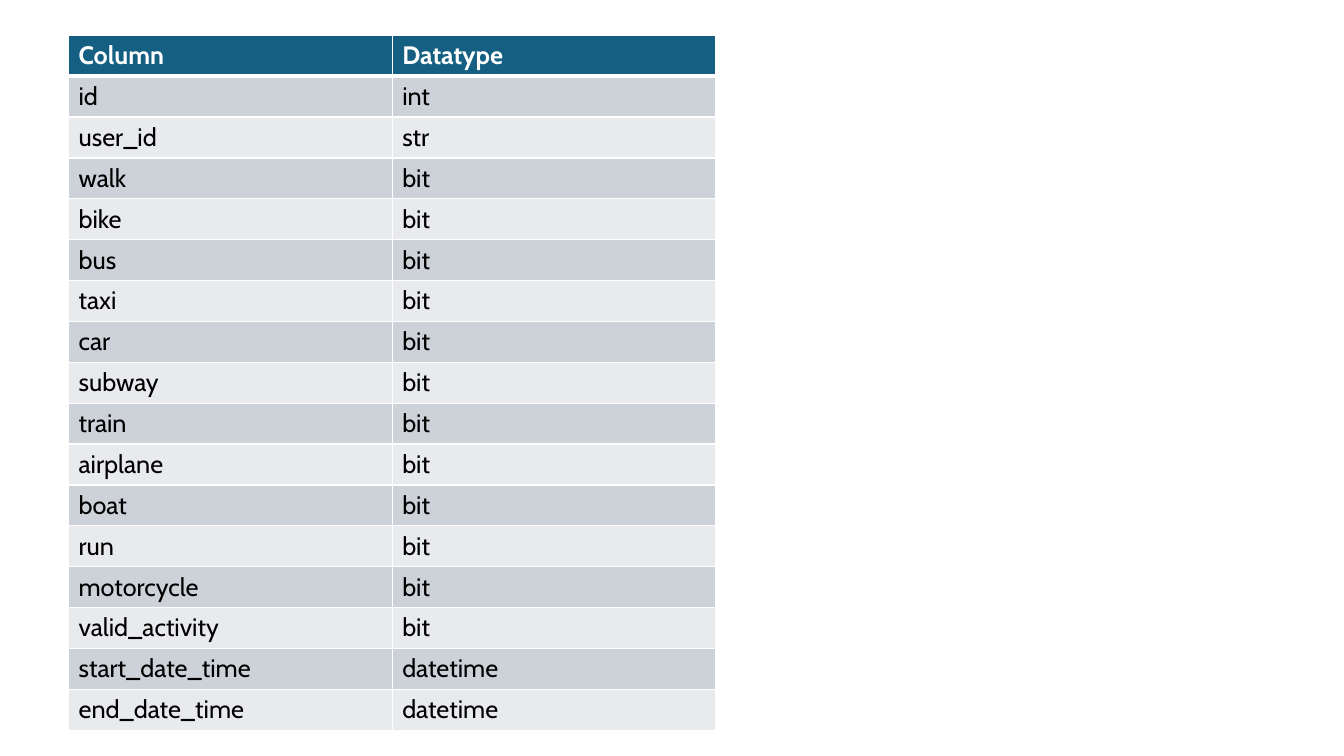
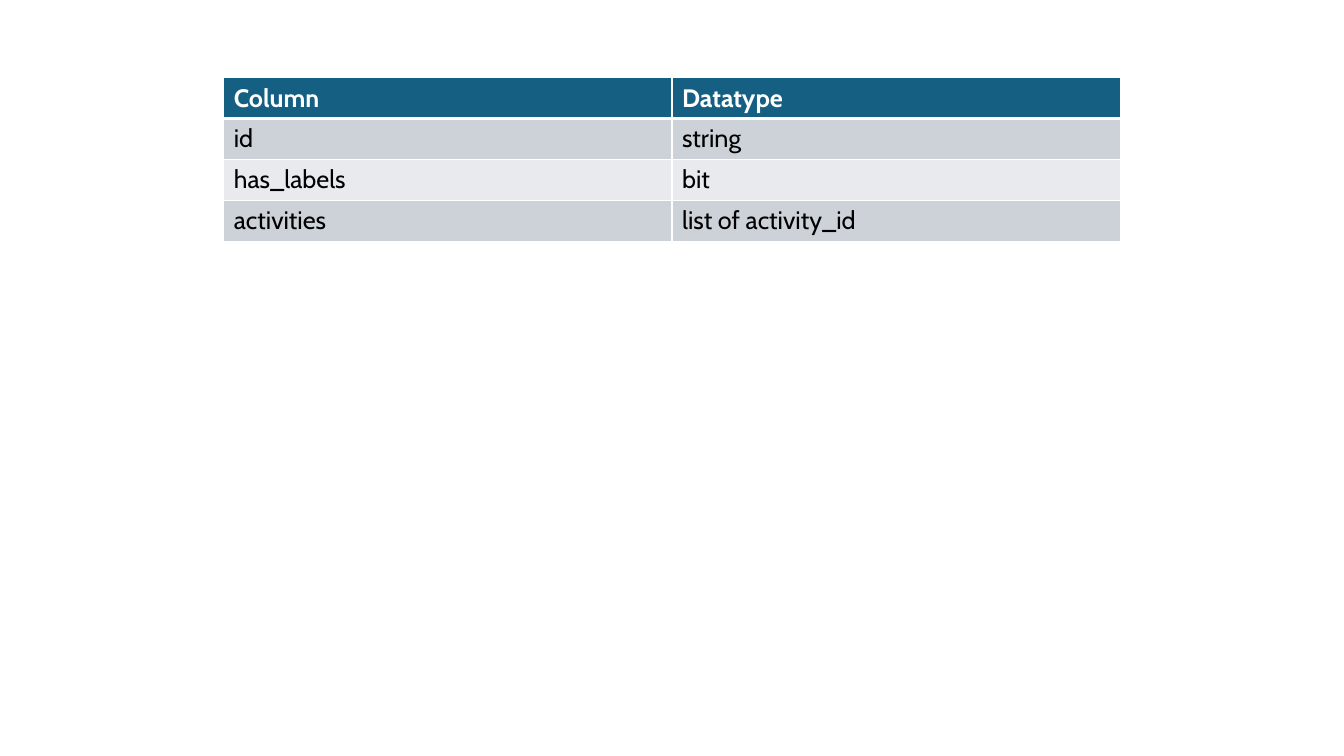
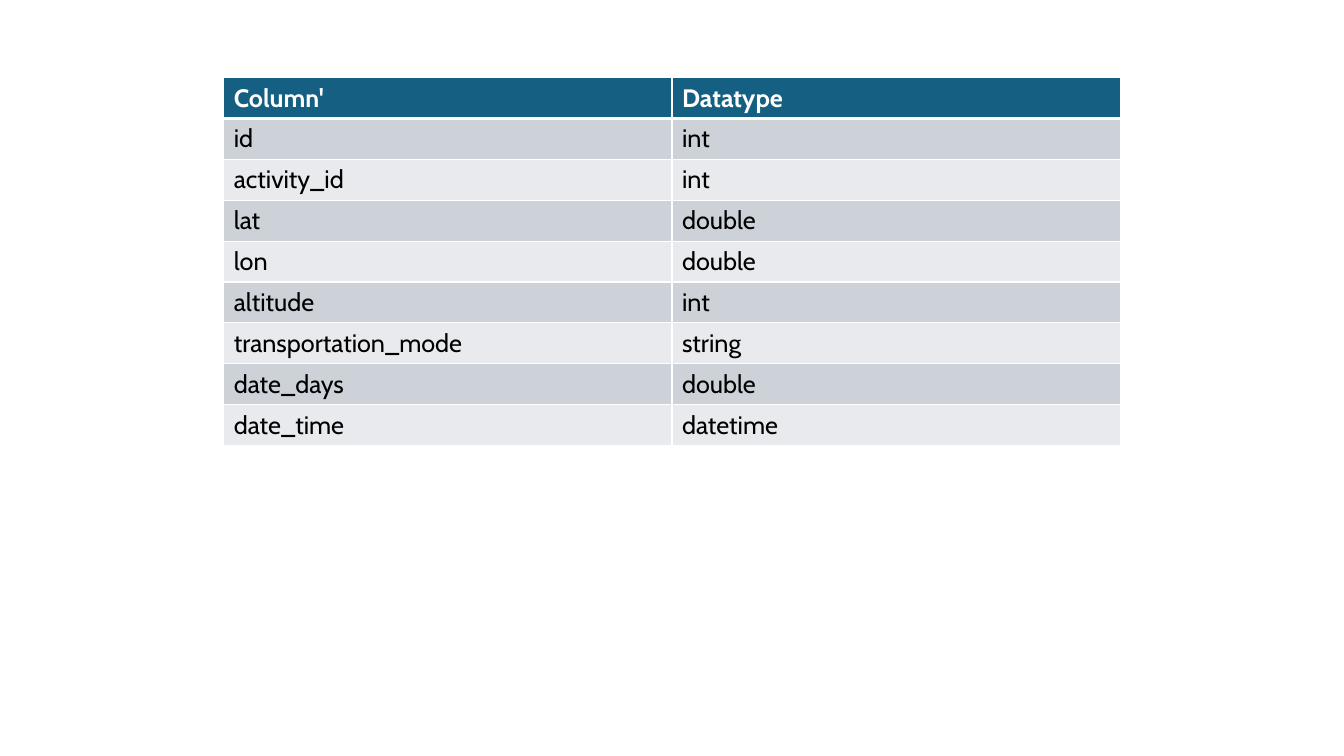
"""Builds three slides that each show the columns of a database table."""
import lxml.etree
import pptx
import pptx.dml.color
import pptx.oxml.ns
import pptx.util

Inches = pptx.util.Inches
Pt = pptx.util.Pt
RGBColor = pptx.dml.color.RGBColor

WHITE = RGBColor(0xFF, 0xFF, 0xFF)
BLACK = RGBColor(0x00, 0x00, 0x00)
HEADER_BLUE = RGBColor(0x15, 0x60, 0x82)
BAND_DARK = RGBColor(0xCC, 0xD2, 0xD8)
BAND_LIGHT = RGBColor(0xE8, 0xEA, 0xED)

HEADER_FONT = {"name": "Cabin", "size": Pt(18), "bold": True}
BODY_FONT = {**HEADER_FONT, "bold": False}
THIN, THICK = Pt(1), Pt(3)

MODES = ["walk", "bike", "bus", "taxi", "car", "subway", "train",
         "airplane", "boat", "run", "motorcycle"]
ACTIVITY = [
    ("Column", "Datatype"),
    ("id", "int"),
    ("user_id", "str"),
    *[(mode, "bit") for mode in MODES],
    ("valid_activity", "bit"),
    ("start_date_time", "datetime"),
    ("end_date_time", "datetime"),
]
USER = [
    ("Column", "Datatype"),
    ("id", "string"),
    ("has_labels", "bit"),
    ("activities", "list of activity_id"),
]
TRACKPOINT = [
    ("Column'", "Datatype"),
    ("id", "int"),
    ("activity_id", "int"),
    ("lat", "double"),
    ("lon", "double"),
    ("altitude", "int"),
    ("transportation_mode", "string"),
    ("date_days", "double"),
    ("date_time", "datetime"),
]


def set_borders(cell, widths):
    """Draw white cell borders from a dict of side to line width."""
    qn = pptx.oxml.ns.qn
    tcPr = cell._tc.get_or_add_tcPr()
    for i, (side, width) in enumerate(widths.items()):
        ln = lxml.etree.Element(qn(f"a:ln{side}"), w=str(int(width)))
        fill = lxml.etree.SubElement(ln, qn("a:solidFill"))
        lxml.etree.SubElement(fill, qn("a:srgbClr"), val=str(WHITE))
        tcPr.insert(i, ln)


def format_cell(cell, text, row):
    """Write one cell and style it by its row number."""
    header = row == 0
    cell.fill.solid()
    cell.fill.fore_color.rgb = (
        HEADER_BLUE if header else BAND_DARK if row % 2 else BAND_LIGHT)
    set_borders(cell, {"L": THIN, "R": THIN,
                       "T": THICK if row == 1 else THIN,
                       "B": THICK if header else THIN})
    r = cell.text_frame.paragraphs[0].add_run()
    r.text = text
    for name, value in (HEADER_FONT if header else BODY_FONT).items():
        setattr(r.font, name, value)
    r.font.color.rgb = WHITE if header else BLACK


def add_schema_slide(prs, rows, left, top, width, height):
    """Add a slide with one table of column names and datatypes."""
    slide = prs.slides.add_slide(prs.slide_layouts[6])
    table = slide.shapes.add_table(
        len(rows), len(rows[0]), Inches(left), Inches(top),
        Inches(width), Inches(height)).table
    for i, row in enumerate(rows):
        for j, text in enumerate(row):
            format_cell(table.cell(i, j), text, i)


def main():
    """Build and save the presentation."""
    prs = pptx.Presentation()
    prs.slide_width, prs.slide_height = Inches(13.33), Inches(7.5)
    add_schema_slide(prs, ACTIVITY, 0.68, 0.35, 6.42, 6.8)
    add_schema_slide(prs, USER, 2.22, 0.77, 8.89, 1.62)
    add_schema_slide(prs, TRACKPOINT, 2.22, 0.77, 8.89, 3.65)
    prs.save("out.pptx")


if __name__ == "__main__":
    main()
